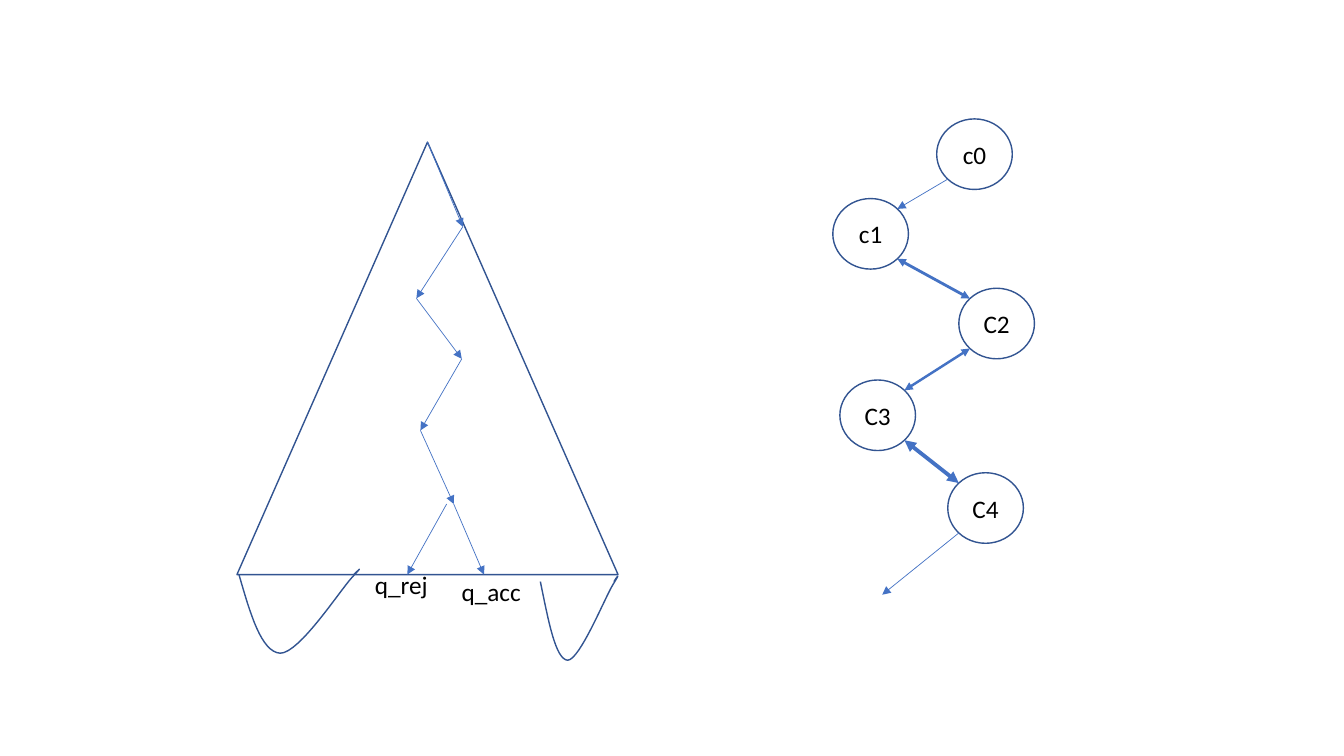
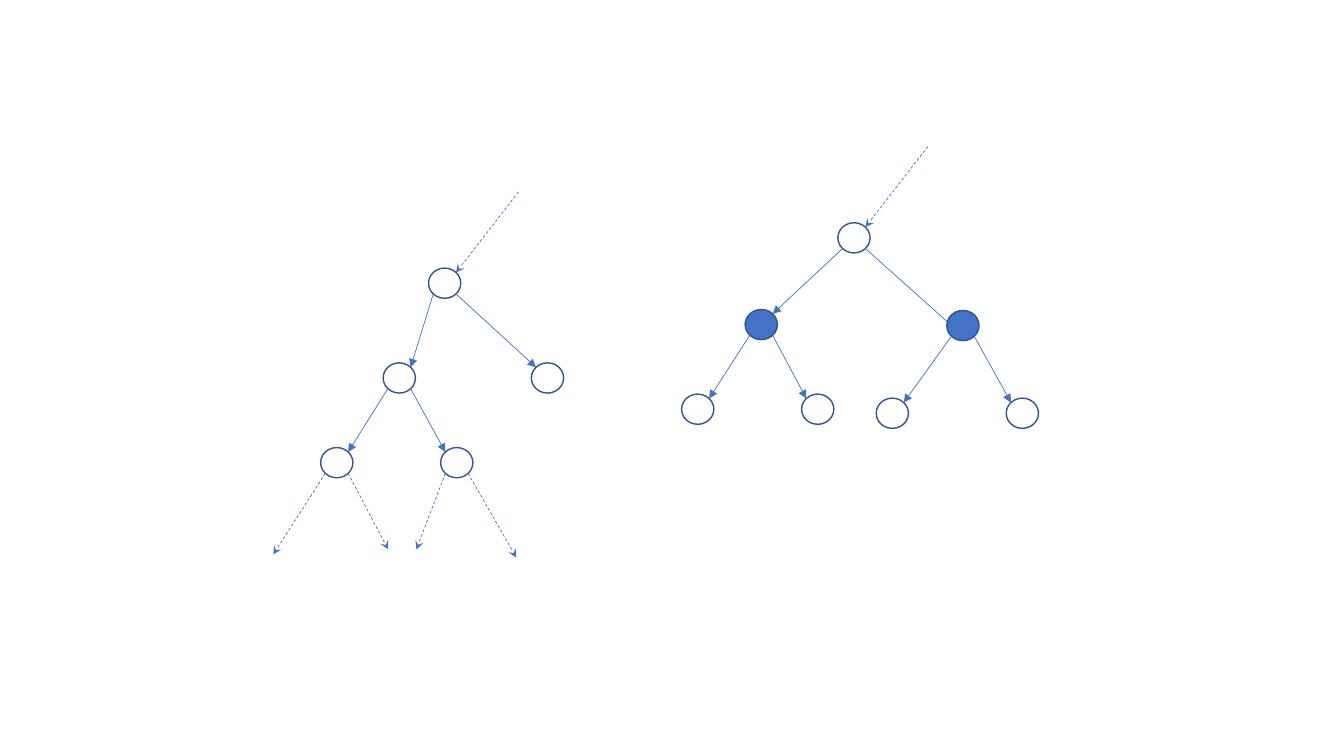
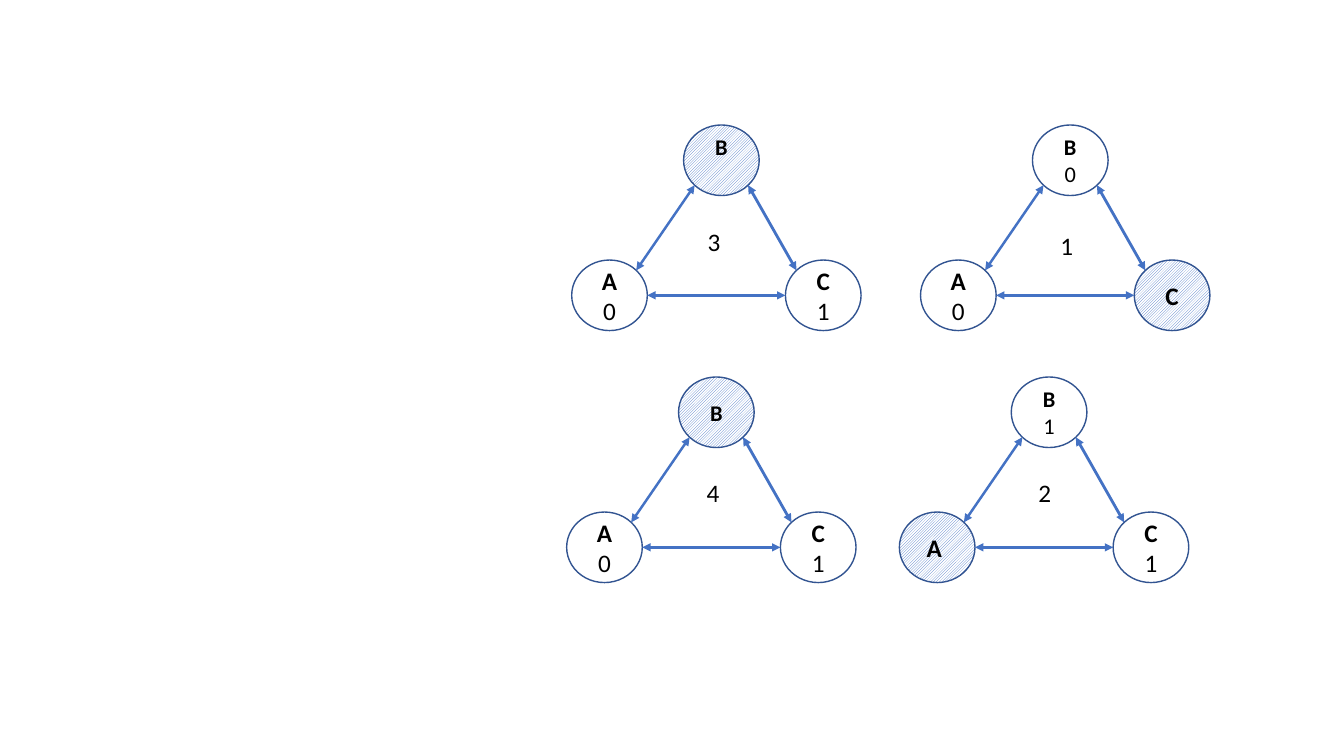
from math import sqrt

from lxml.etree import SubElement
from pptx import Presentation
from pptx.dml.color import RGBColor
from pptx.enum.dml import MSO_LINE, MSO_PATTERN
from pptx.enum.shapes import MSO_CONNECTOR, MSO_SHAPE
from pptx.enum.text import MSO_ANCHOR, PP_ALIGN
from pptx.oxml.ns import qn
from pptx.util import Inches, Pt

BLUE, OUTLINE, WHITE, BLACK = "4472C4", "325491", "FFFFFF", "000000"
LARGE, SMALL = (0.75, 0.7), (0.32, 0.3)
COMPASS = {"n": (0, -1), "s": (0, 1), "w": (-1, 0), "e": (1, 0)}


def rgb(hex_code):
    return RGBColor.from_string(hex_code)


def port(corner, size, side):
    """Point on the ellipse at a compass side such as "e" or "sw"."""
    reach = 0.5 / sqrt(len(side))
    dx, dy = (sum(COMPASS[letter][axis] for letter in side) for axis in (0, 1))
    return (corner[0] + size[0] * (0.5 + dx * reach),
            corner[1] + size[1] * (0.5 + dy * reach))


def bezier(start, control1, control2, end, steps=16):
    """Points along a cubic curve, without its start."""
    for step in range(1, steps + 1):
        t = step / steps
        weights = ((1 - t) ** 3, 3 * t * (1 - t) ** 2, 3 * t * t * (1 - t), t ** 3)
        yield tuple(sum(w * p[axis] for w, p in zip(weights, (start, control1, control2, end)))
                    for axis in (0, 1))


class Diagram:
    """Holds the drawing style and the current slide."""

    font_format = {"name": "Calibri", "size": Pt(18), "bold": False}

    def __init__(self):
        self.deck = Presentation()
        self.deck.slide_width, self.deck.slide_height = Inches(13.33), Inches(7.5)

    def new_slide(self):
        self.shapes = self.deck.slides.add_slide(self.deck.slide_layouts[6]).shapes

    def style_run(self, run, **changes):
        for key, value in {**self.font_format, **changes}.items():
            setattr(run.font, key, value)
        run.font.color.rgb = rgb(BLACK)

    def outline(self, shape, fill=None):
        """Dark blue outline; fill is a colour, "hatched" or None."""
        shape.shadow.inherit = False
        shape.line.color.rgb = rgb(OUTLINE)
        shape.line.width = Pt(1)
        if fill is None:
            shape.fill.background()
        elif fill == "hatched":
            shape.fill.patterned()
            shape.fill.pattern = MSO_PATTERN.LIGHT_UPWARD_DIAGONAL
            shape.fill.fore_color.rgb = rgb(BLUE)
            shape.fill.back_color.rgb = rgb(WHITE)
        else:
            shape.fill.solid()
            shape.fill.fore_color.rgb = rgb(fill)

    def shape(self, preset, corner, size, fill=None):
        shape = self.shapes.add_shape(preset, *map(Inches, (*corner, *size)))
        self.outline(shape, fill)
        return shape

    def node(self, corner, size, lines=(), fill=None, points=18, bold_name=False):
        node = self.shape(MSO_SHAPE.OVAL, corner, size, fill)
        frame = node.text_frame
        frame.vertical_anchor = MSO_ANCHOR.MIDDLE
        for index, text in enumerate(lines):
            paragraph = frame.add_paragraph() if index else frame.paragraphs[0]
            paragraph.alignment = PP_ALIGN.CENTER
            run = paragraph.add_run()
            run.text = text
            self.style_run(run, size=Pt(points), bold=bold_name and index == 0)
        return node

    def label(self, corner, size, text):
        box = self.shapes.add_textbox(*map(Inches, (*corner, *size)))
        box.text_frame.word_wrap = True
        run = box.text_frame.paragraphs[0].add_run()
        run.text = text
        self.style_run(run)

    def arrow(self, start, end, weight=0.5, both=False, dashed=False):
        arrow = self.shapes.add_connector(MSO_CONNECTOR.STRAIGHT, *map(Inches, (*start, *end)))
        arrow.line.color.rgb = rgb(BLUE)
        arrow.line.width = Pt(weight)
        if dashed:
            arrow.line.dash_style = MSO_LINE.DASH
        properties = arrow._element.spPr
        for tip in ("a:headEnd", "a:tailEnd") if both else ("a:tailEnd",):
            SubElement(properties.find(qn("a:ln")), qn(tip), type="stealth" if dashed else "triangle")
        SubElement(properties, qn("a:effectLst"))

    def curve(self, start, *segments):
        points = [start]
        for segment in segments:
            points.extend(bezier(points[-1], *segment))
        (x, y), *rest = [tuple(map(Inches, point)) for point in points]
        builder = self.shapes.build_freeform(x, y, scale=1.0)
        builder.add_line_segments(rest, close=False)
        self.outline(builder.convert_to_shape())


def computation_slide(diagram):
    diagram.new_slide()
    chain = {"c0": (9.29, 1.18), "c1": (8.26, 1.97), "C2": (9.51, 2.86),
             "C3": (8.33, 3.77), "C4": (9.4, 4.69)}
    for name, corner in chain.items():
        diagram.node(corner, LARGE, [name])
    steps = zip(chain.values(), list(chain.values())[1:], (0.5, 2, 1.75, 2.75))
    for index, (upper, lower, weight) in enumerate(steps):
        leave, enter = ("se", "nw") if index % 2 else ("sw", "ne")
        diagram.arrow(port(upper, LARGE, leave), port(lower, LARGE, enter), weight, both=index > 0)
    diagram.arrow(port(chain["C4"], LARGE, "sw"), (8.75, 5.9))

    diagram.shape(MSO_SHAPE.ISOSCELES_TRIANGLE, (2.35, 1.41), (3.78, 4.29))
    branch = [(4.24, 1.41), (4.59, 2.25), (4.13, 2.96), (4.58, 3.56),
              (4.17, 4.27), (4.5, 5), (4.8, 5.7)]
    for start, end in [*zip(branch, branch[1:]), ((4.43, 5), (4.04, 5.7))]:
        diagram.arrow(start, end)
    diagram.label((4.48, 5.67), (1.41, 0.42), "q_acc")
    diagram.label((3.62, 5.6), (1.41, 0.42), "q_rej")
    diagram.curve((2.37, 5.7),
                  ((2.48, 6.08), (2.59, 6.47), (2.78, 6.48)),
                  ((2.97, 6.48), (3.37, 5.86), (3.49, 5.73)),
                  ((3.61, 5.6), (3.56, 5.65), (3.51, 5.7)))
    diagram.curve((5.36, 5.77),
                  ((5.44, 6.16), (5.51, 6.54), (5.63, 6.55)),
                  ((5.75, 6.55), (6, 5.93), (6.08, 5.8)),
                  ((6.16, 5.67), (6.12, 5.72), (6.09, 5.77)))


def branch_pair(diagram, parent, left, right):
    """Arrows from a parent to two child nodes, then the children."""
    for child, leave, enter in ((left, "sw", "ne"), (right, "se", "nw")):
        diagram.arrow(port(parent, SMALL, leave), port(child, SMALL, enter))
        diagram.node(child, SMALL)


def tree_slide(diagram):
    diagram.new_slide()
    root, inner, leaf = (4.25, 2.66), (3.8, 3.6), (5.27, 3.6)
    inner_children = (3.18, 4.44), (4.37, 4.44)
    shaded_root, shaded_left, shaded_right = (8.31, 2.21), (7.39, 3.07), (9.39, 3.08)

    for top in (root, shaded_root):
        x, y = port(top, SMALL, "ne")
        diagram.arrow((x + 0.62, y - 0.8), (x, y), dashed=True)
        diagram.node(top, SMALL)
    branch_pair(diagram, root, inner, leaf)
    branch_pair(diagram, inner, *inner_children)
    ends = ((2.71, 5.5), (3.85, 5.45)), ((4.13, 5.45), (5.12, 5.53))
    for child, child_ends in zip(inner_children, ends):
        for side, end in zip(("sw", "se"), child_ends):
            diagram.arrow(port(child, SMALL, side), end, dashed=True)

    diagram.arrow(port(shaded_root, SMALL, "sw"), port(shaded_left, SMALL, "ne"))
    diagram.arrow(port(shaded_root, SMALL, "se"), (9.55, 3.33))
    for shaded, *children in ((shaded_left, (6.76, 3.91), (7.95, 3.91)),
                              (shaded_right, (8.69, 3.95), (9.98, 3.95))):
        diagram.node(shaded, SMALL, fill=BLUE)
        branch_pair(diagram, shaded, *children)


def triangle_graph(diagram, corner, texts, hatched):
    """Three linked nodes A, B, C with A at corner; returns the nodes."""
    x, y = corner
    places = {"A": corner, "B": (x + 1.11, y - 1.34), "C": (x + 2.12, y)}
    nodes = {name: diagram.node(place, LARGE, lines, "hatched" if name == hatched else None,
                                16 if name == "B" else 18, bold_name=True)
             for (name, place), lines in zip(places.items(), texts)}
    for start, leave, end, enter, weight in (("B", "se", "C", "nw", 2), ("C", "w", "A", "e", 1.75),
                                             ("B", "sw", "A", "ne", 1.75)):
        diagram.arrow(port(places[start], LARGE, leave), port(places[end], LARGE, enter),
                      weight, both=True)
    return nodes


def election_slide(diagram):
    diagram.new_slide()
    a0, c1 = ["A", "0"], ["C", "1"]
    graphs = (
        ((5.67, 2.58), (a0, ["B"], c1), "B", "3", (6.92, 2.2)),
        ((9.13, 2.58), (a0, ["B", "0"], ["C"]), "C", "1", (10.42, 2.24)),
        ((8.92, 5.08), (["A "], ["B", "1"], c1), "A", "2", (10.2, 4.69)),
        ((5.62, 5.08), (a0, ["B"], c1), "B", "4", (6.91, 4.69)),
    )
    for corner, texts, hatched, number, number_corner in graphs:
        nodes = triangle_graph(diagram, corner, texts, hatched)
        if number == "3":
            raised = nodes["B"].text_frame
            raised.margin_top, raised.margin_bottom = 0, Inches(0.27)
        diagram.label(number_corner, (0.37, 0.4), number)


def main():
    diagram = Diagram()
    computation_slide(diagram)
    tree_slide(diagram)
    election_slide(diagram)
    diagram.deck.save("out.pptx")


if __name__ == "__main__":
    main()
